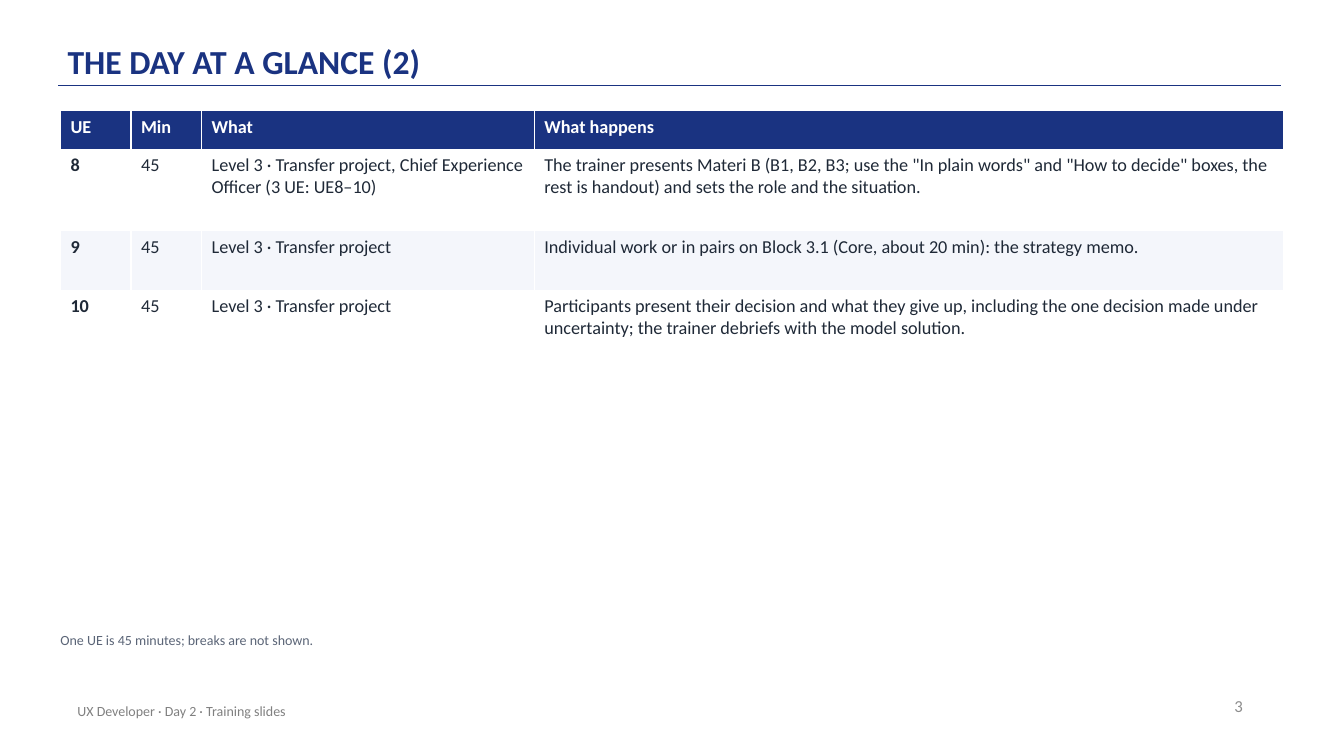
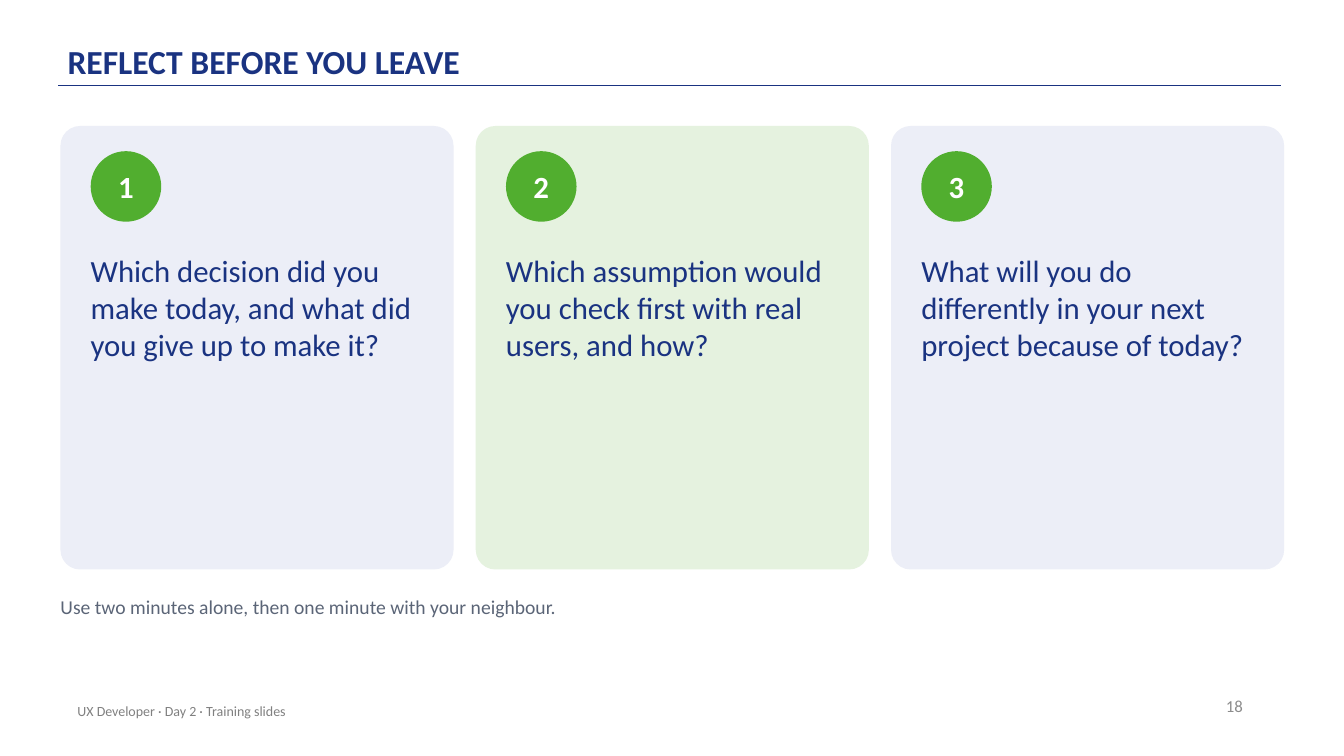
"""Build two training slides: a day schedule table and three reflection cards."""
import pptx
import pptx.dml.color
import pptx.enum.shapes
import pptx.enum.text
import pptx.oxml
import pptx.util

Pt = pptx.util.Pt
Align = pptx.enum.text.PP_ALIGN
Anchor = pptx.enum.text.MSO_ANCHOR
Shape = pptx.enum.shapes.MSO_SHAPE

NAVY, GREEN, WHITE, INK, MUTED = "1A3381", "51AE2F", "FFFFFF", "1F2937", "5B6577"
LEFT = 43.2


def color(hex_code):
    return pptx.dml.color.RGBColor.from_string(hex_code)


def write(frame, text, size, hex_code, bold=False, align=Align.LEFT, anchor=Anchor.TOP, margins=None, after=None):
    frame.word_wrap = True
    frame.vertical_anchor = anchor
    if margins is not None:
        horizontal, vertical = margins
        frame.margin_left = frame.margin_right = Pt(horizontal)
        frame.margin_top = frame.margin_bottom = Pt(vertical)
    frame.text = text
    paragraph = frame.paragraphs[0]
    paragraph.alignment = align
    if after is not None:
        paragraph.space_after = Pt(after)
    paragraph.font.name = "Calibri"
    paragraph.font.size = Pt(size)
    paragraph.font.bold = bold
    paragraph.font.color.rgb = color(hex_code)


presentation = pptx.Presentation()
presentation.slide_width, presentation.slide_height = Pt(960), Pt(540)

slides = []
for title, number in [("THE DAY AT A GLANCE (2)", 3), ("REFLECT BEFORE YOU LEAVE", 18)]:
    slide = presentation.slides.add_slide(presentation.slide_layouts[5])
    slides.append(slide)

    heading = slide.shapes.title
    heading.left, heading.top, heading.width, heading.height = Pt(48.24), Pt(8.64), Pt(792), Pt(51.84)
    heading.text_frame.auto_size = pptx.enum.text.MSO_AUTO_SIZE.NONE
    write(heading.text_frame, title, 24, NAVY, True, anchor=Anchor.BOTTOM, margins=(0, 2.16))
    heading.text_frame.paragraphs[0].line_spacing = 0.9

    rule = slide.shapes.add_connector(
        pptx.enum.shapes.MSO_CONNECTOR.STRAIGHT, Pt(41.76), Pt(61.2), Pt(915.12), Pt(61.2))
    rule.line.color.rgb = color(NAVY)
    rule.line.width = Pt(1)
    rule._element.spPr.append(pptx.oxml.parse_xml(
        '<a:effectLst xmlns:a="http://schemas.openxmlformats.org/drawingml/2006/main"/>'))

    page = slide.shapes.add_textbox(Pt(678.96), Pt(489.6), Pt(216), Pt(28.8))
    write(page.text_frame, str(number), 12, "8C8C8C", align=Align.RIGHT, anchor=Anchor.MIDDLE)
    footer = slide.shapes.add_textbox(Pt(48.24), Pt(493.2), Pt(482.4), Pt(28.8))
    write(footer.text_frame, "UX Developer · Day 2 · Training slides", 10, "808080", anchor=Anchor.MIDDLE)

schedule_slide, reflection_slide = slides

schedule = [
    ("UE", "Min", "What", "What happens"),
    ("8", "45", "Level 3 · Transfer project, Chief Experience Officer (3 UE: UE8–10)",
     'The trainer presents Materi B (B1, B2, B3; use the "In plain words" and "How to decide" boxes, '
     "the rest is handout) and sets the role and the situation."),
    ("9", "45", "Level 3 · Transfer project",
     "Individual work or in pairs on Block 3.1 (Core, about 20 min): the strategy memo."),
    ("10", "45", "Level 3 · Transfer project",
     "Participants present their decision and what they give up, including the one decision made under "
     "uncertainty; the trainer debriefs with the model solution."),
]
column_widths = [50.4, 50.4, 237.6, 534.96]
row_heights = [27.36, 58.32, 42.48, 58.32]
row_fills = [NAVY, WHITE, "F4F6FB", WHITE]
table = schedule_slide.shapes.add_table(
    len(schedule), len(column_widths), Pt(LEFT), Pt(79.2), Pt(sum(column_widths)), Pt(sum(row_heights))).table
table.horz_banding = False
for column, width in zip(table.columns, column_widths):
    column.width = Pt(width)
for row_index, (row, height, fill, texts) in enumerate(zip(table.rows, row_heights, row_fills, schedule)):
    row.height = Pt(height)
    is_header = row_index == 0
    for column_index, (cell, text) in enumerate(zip(row.cells, texts)):
        cell.fill.solid()
        cell.fill.fore_color.rgb = color(fill)
        write(cell.text_frame, text, 13, WHITE if is_header else INK, is_header or column_index == 0)

cards = [
    ("Which decision did you make today, and what did you give up to make it?", "ECEEF7"),
    ("Which assumption would you check first with real users, and how?", "E5F2DF"),
    ("What will you do differently in your next project because of today?", "ECEEF7"),
]
for index, (question, fill) in enumerate(cards):
    card_left = LEFT + index * 296.64
    inner_left = card_left + 21.6
    card = reflection_slide.shapes.add_shape(
        Shape.ROUNDED_RECTANGLE, Pt(card_left), Pt(90), Pt(280.8), Pt(316.8))
    card.adjustments[0] = 0.05
    badge = reflection_slide.shapes.add_shape(Shape.OVAL, Pt(inner_left), Pt(108), Pt(50.4), Pt(50.4))
    for shape, shape_fill in [(card, fill), (badge, GREEN)]:
        shape.shadow.inherit = False
        shape.fill.solid()
        shape.fill.fore_color.rgb = color(shape_fill)
        shape.line.fill.background()
    write(badge.text_frame, str(index + 1), 22, WHITE, True, Align.CENTER, Anchor.MIDDLE, (0, 0))
    box = reflection_slide.shapes.add_textbox(Pt(inner_left), Pt(180), Pt(237.6), Pt(216))
    write(box.text_frame, question, 22, NAVY, margins=(0, 0), after=6)

notes = [
    (schedule_slide, "One UE is 45 minutes; breaks are not shown.", 10, 451.44, 21.6),
    (reflection_slide, "Use two minutes alone, then one minute with your neighbour.", 14, 424.8, 28.8),
]
for slide, text, size, top, height in notes:
    box = slide.shapes.add_textbox(Pt(LEFT), Pt(top), Pt(871.2), Pt(height))
    write(box.text_frame, text, size, MUTED, margins=(0, 0), after=6)

presentation.save("out.pptx")
